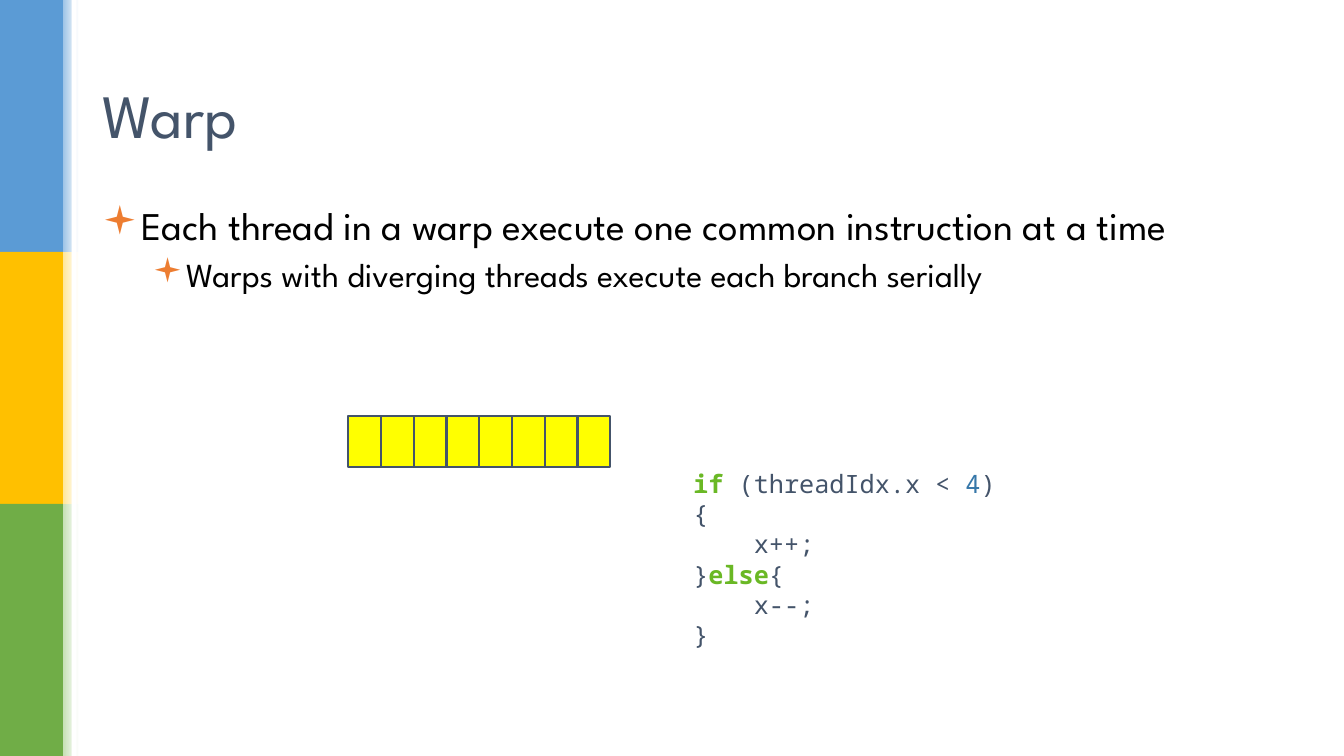
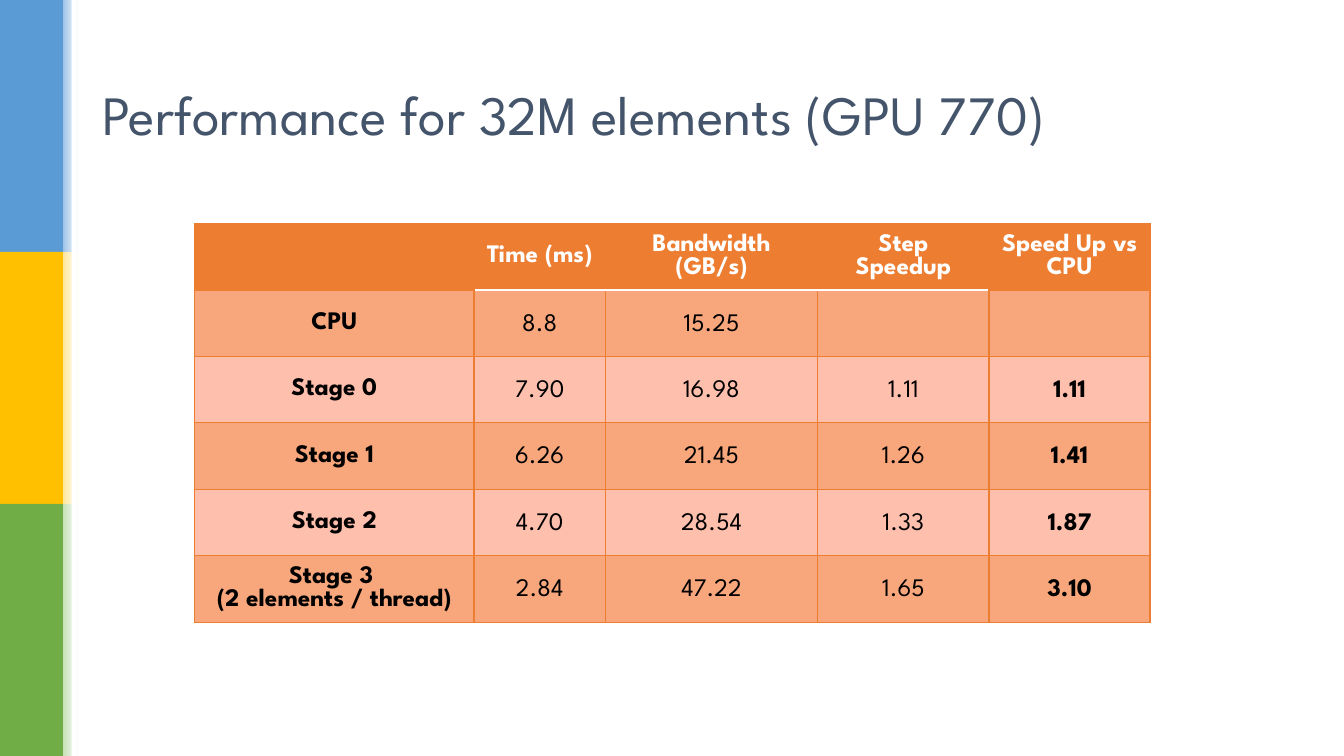
"""Build two slides about GPU warps and kernel performance."""
from dataclasses import dataclass
from typing import Any

from lxml import etree
from pptx import Presentation
from pptx import util as u
from pptx.dml.color import RGBColor
from pptx.enum import shapes, text
from pptx.oxml.ns import qn

COLUMNS, ROWS = 80, 45
WIDTH, HEIGHT = u.Emu(12192000), u.Emu(6858000)
UNIT = HEIGHT / ROWS
SANS, MONO = "League Spartan", "Noto Sans Mono"
COLORS = {
    "ink": "44546A", "black": "000000", "white": "FFFFFF", "yellow": "FFFF00",
    "orange": "ED7D31", "row_dark": "F8A67B", "row_light": "FFBFAD",
    "keyword": "6AB825", "number": "3677A9",
    "blue": "5B9BD5", "blue_pale": "9DC3E6",
    "gold": "FFC000", "gold_pale": "FFE699",
    "green": "70AD47", "green_pale": "C5E0B4",
}


@dataclass(frozen=True)
class Area:
    """A rectangle in grid columns and rows."""
    left: float
    top: float
    width: float
    height: float

    def emu(self) -> list[u.Emu]:
        """Return the four lengths in slide units."""
        return [u.Emu(round(n * UNIT)) for n in (self.left, self.top, self.width, self.height)]


@dataclass(frozen=True)
class Style:
    """The look of a piece of text."""
    size: float
    color: str
    name: str = SANS
    bold: bool = False


@dataclass(frozen=True)
class Bullet:
    """One bulleted line."""
    words: str
    level: int
    size: float
    indent: float
    before: float


CODE = Style(18, "ink", MONO)
KEYWORD = Style(18, "keyword", MONO, True)
NUMBER = Style(18, "number", MONO)
TITLE_AREA = Area(5.5, 2.4, 69, 8.7)
BODY_AREA = Area(5.5, 12, 69, 28.56)
CODE_AREA = Area(40.68, 27.2, 19.68, 12.12)
THREAD_COUNT = 8
FIRST_THREAD = Area(20.73, 24.78, 1.95, 3)
BANDS = ("blue", "gold", "green")
BAND_WIDTH = 3.75
BULLETS = (
    Bullet("Each thread in a warp execute one common instruction at a time", 0, 28, 0.25, 0),
    Bullet("Warps with diverging threads execute each branch serially", 1, 24, 0.75, 6.6),
)
CODE_LINES = (
    (("if ", KEYWORD), ("(threadIdx.x < ", CODE), ("4", NUMBER), (")", CODE)),
    (("{", CODE),),
    (("    x++;", CODE),),
    (("}", CODE), ("else", KEYWORD), ("{", CODE)),
    (("    x--;", CODE),),
    (("}", CODE),),
)
TABLE_COLUMNS = (16.65, 7.8, 12.65, 10.2, 9.58)
TABLE_ROW = 3.95
RESULTS = (
    ("", "Time (ms)", "Bandwidth (GB/s)", "Step Speedup", "Speed Up vs CPU"),
    ("CPU", "8.8", "15.25", "", ""),
    ("Stage 0", "7.90", "16.98", "1.11", "1.11"),
    ("Stage 1", "6.26", "21.45", "1.26", "1.41"),
    ("Stage 2", "4.70", "28.54", "1.33", "1.87"),
    ("Stage 3 \n(2 elements / thread)", "2.84", "47.22", "1.65", "3.10"),
)


def rgb(name: str) -> RGBColor:
    """Look up a named colour."""
    return RGBColor.from_string(COLORS[name])


def assign(target: Any, values: dict[str, Any]) -> None:
    """Set several attributes on one object."""
    for name, value in values.items():
        setattr(target, name, value)


def add_span(para: Any, words: str, style: Style) -> None:
    """Add a styled run to a paragraph."""
    span = para.add_run()
    span.text = words
    assign(span.font, {"size": u.Pt(style.size), "name": style.name, "bold": style.bold})
    span.font.color.rgb = rgb(style.color)


def next_para(frame: Any, index: int) -> Any:
    """Return the first paragraph, or a new one after it."""
    return frame.add_paragraph() if index else frame.paragraphs[0]


def add_box(page: Any, area: Area, fill: str, line: str = "") -> Any:
    """Draw a plain rectangle."""
    box = page.shapes.add_shape(shapes.MSO_SHAPE.RECTANGLE, *area.emu())
    box.shadow.inherit = False
    box.fill.solid()
    box.fill.fore_color.rgb = rgb(fill)
    if line:
        box.line.color.rgb = rgb(line)
        box.line.width = u.Pt(1.5)
    else:
        box.line.fill.background()
    return box


def add_bands(page: Any) -> None:
    """Draw the coloured bands on the left edge."""
    step = ROWS / len(BANDS)
    for index, color in enumerate(BANDS):
        add_box(page, Area(0, index * step, BAND_WIDTH, step), color)
        fade = add_box(page, Area(BAND_WIDTH, index * step, 0.96, step), "white")
        fade.fill.gradient()
        fade.fill.gradient_angle = 0
        for stop, shade in zip(fade.fill.gradient_stops, (f"{color}_pale", "white")):
            stop.color.rgb = rgb(shade)
    add_box(page, Area(4.26, 0, 0.3, ROWS), "white")


def add_page(deck: Any, title: str, size: float) -> Any:
    """Add a slide with bands and a title."""
    page = deck.slides.add_slide(deck.slide_layouts[5])
    add_bands(page)
    holder = page.shapes.title
    assign(holder, dict(zip(("left", "top", "width", "height"), TITLE_AREA.emu())))
    frame = holder.text_frame
    assign(frame, {"word_wrap": True, "auto_size": text.MSO_AUTO_SIZE.NONE,
                   "vertical_anchor": text.MSO_ANCHOR.MIDDLE})
    para = frame.paragraphs[0]
    para.alignment = text.PP_ALIGN.LEFT
    add_span(para, title, Style(size, "ink"))
    return page


def add_bullets(page: Any) -> None:
    """Write the bulleted lines."""
    frame = page.shapes.add_textbox(*BODY_AREA.emu()).text_frame
    frame.word_wrap = True
    for index, item in enumerate(BULLETS):
        para = next_para(frame, index)
        props = para._p.get_or_add_pPr()
        props.set("marL", str(u.Inches(item.indent)))
        props.set("indent", str(u.Inches(-0.25)))
        tint = etree.SubElement(props, qn("a:buClr"))
        etree.SubElement(tint, qn("a:srgbClr"), val=COLORS["orange"])
        etree.SubElement(props, qn("a:buFont"), typeface="Wingdings", charset="2")
        etree.SubElement(props, qn("a:buChar"), char="▪")
        assign(para, {"level": item.level, "line_spacing": 0.9, "space_before": u.Pt(item.before)})
        add_span(para, item.words, Style(item.size, "black"))


def add_threads(page: Any) -> None:
    """Draw the row of threads in a warp."""
    first = FIRST_THREAD
    for index in range(THREAD_COUNT):
        left = first.left + index * first.width
        add_box(page, Area(left, first.top, first.width, first.height), "yellow", "ink")


def add_code(page: Any) -> None:
    """Write the branching code sample."""
    frame = page.shapes.add_textbox(*CODE_AREA.emu()).text_frame
    assign(frame, {"word_wrap": True, "vertical_anchor": text.MSO_ANCHOR.MIDDLE})
    assign(frame, {f"margin_{side}": u.Inches(0.1) for side in ("left", "top", "right", "bottom")})
    for index, line in enumerate(CODE_LINES):
        para = next_para(frame, index)
        para.line_spacing = u.Pt(21.6)
        for words, style in line:
            add_span(para, words, style)


def add_border(cell: Any, side: str, color: str, points: float) -> None:
    """Draw one border of a table cell."""
    props = cell._tc.get_or_add_tcPr()
    line = etree.SubElement(props, qn(f"a:ln{side}"), w=str(u.Pt(points)))
    fill = etree.SubElement(line, qn("a:solidFill"))
    etree.SubElement(fill, qn("a:srgbClr"), val=COLORS[color])


def format_cell(cell: Any, words: str, row: int, column: int) -> None:
    """Fill, border and write one cell of the results."""
    last = len(TABLE_COLUMNS) - 1
    inner = 0 < column < last
    for side in "LRTB":
        ruled = inner and (row, side) in ((0, "B"), (1, "T"))
        thick = ruled or (row > 0 and (column, side) in ((0, "R"), (last, "L")))
        add_border(cell, side, "white" if ruled else "orange", 1.5 if thick else 1)
    cell.fill.solid()
    cell.fill.fore_color.rgb = rgb("orange" if row == 0 else "row_dark" if row % 2 else "row_light")
    assign(cell, {f"margin_{side}": u.Inches(0.1) for side in ("left", "top", "right", "bottom")})
    cell.vertical_anchor = text.MSO_ANCHOR.MIDDLE
    style = Style(18, "black" if row else "white", bold=row == 0 or not inner)
    for index, line in enumerate(words.split("\n") if words else ()):
        para = next_para(cell.text_frame, index)
        para.alignment = text.PP_ALIGN.CENTER
        if row and column:
            para.line_spacing = 1.15
        add_span(para, line, style)


def add_results(page: Any) -> None:
    """Draw the table of timings."""
    area = Area(11.58, 13.3, sum(TABLE_COLUMNS), TABLE_ROW * len(RESULTS))
    table = page.shapes.add_table(len(RESULTS), len(TABLE_COLUMNS), *area.emu()).table
    for column, width in zip(table.columns, TABLE_COLUMNS):
        column.width = u.Emu(round(width * UNIT))
    for row, values in enumerate(RESULTS):
        for column, words in enumerate(values):
            format_cell(table.cell(row, column), words, row, column)


def main() -> None:
    """Build and save the deck."""
    deck = Presentation()
    assign(deck, {"slide_width": WIDTH, "slide_height": HEIGHT})
    warp = add_page(deck, "Warp", 44)
    add_bullets(warp)
    add_threads(warp)
    add_code(warp)
    performance = add_page(deck, "Performance for 32M elements (GPU 770)", 39.6)
    add_results(performance)
    deck.save("out.pptx")


if __name__ == "__main__":
    main()
